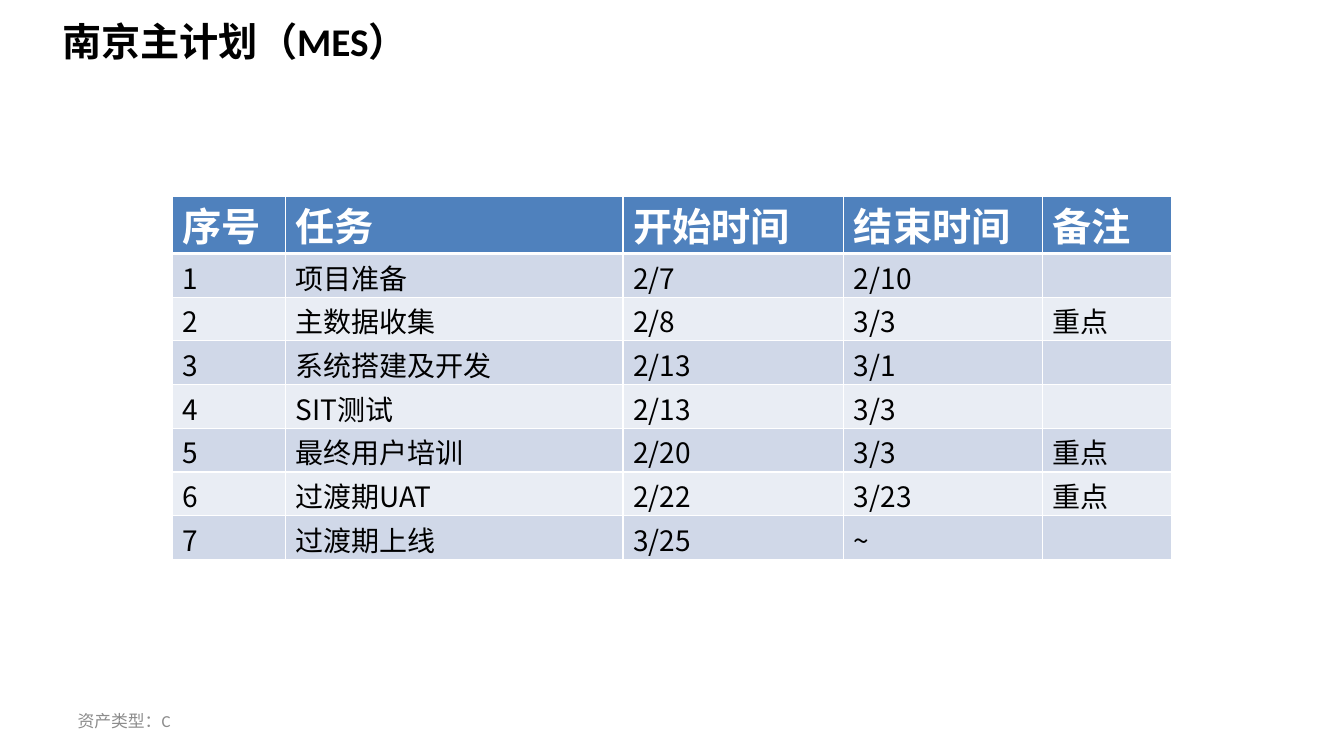
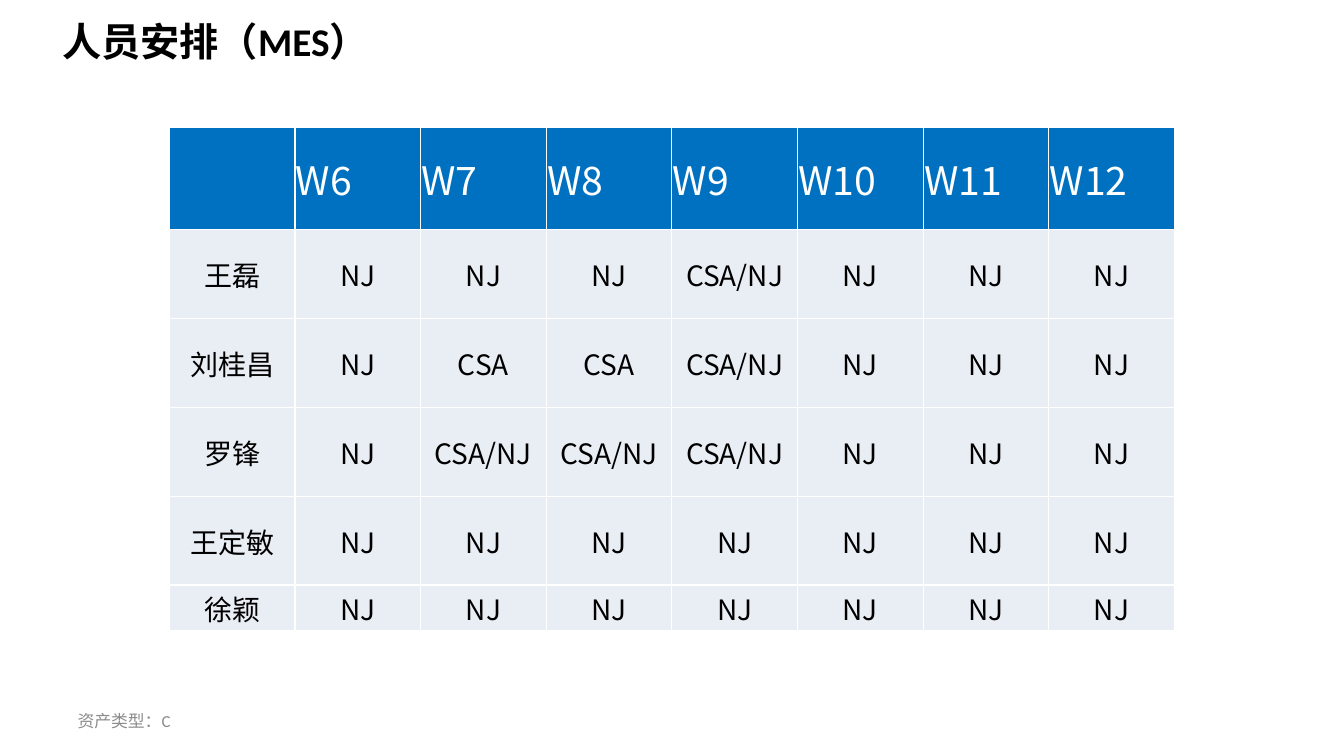
from dataclasses import dataclass

from lxml.etree import SubElement
from pptx import Presentation
from pptx.dml.color import RGBColor
from pptx.enum.text import MSO_ANCHOR as Anchor, MSO_AUTO_SIZE as AutoSize, PP_ALIGN as Align
from pptx.oxml.ns import qn
from pptx.util import Inches, Pt

WIDTH, HEIGHT = Inches(13.33), Inches(7.5)
TITLE_FONT, TABLE_FONT = "Calibri", "Noto Sans CJK SC"
BLACK, WHITE, GREY = "000000", "FFFFFF", "8C8C8C"
STEEL, BLUE = "4F81BD", "0070C0"
DARK_BAND, LIGHT_BAND = "D0D8E8", "E9EDF4"


@dataclass
class RowStyle:
    """Look of one kind of table row; insets are left, top, right, bottom in inches."""
    bands: tuple
    size: int
    ink: str
    insets: tuple
    bold: bool = False
    align: Align = Align.LEFT
    anchor: Anchor = Anchor.MIDDLE
    rule: float = 1


PLAN_HEAD = RowStyle((STEEL,), 28, WHITE, (0.1, 0, 0.1, 0), bold=True, anchor=Anchor.TOP, rule=3)
PLAN_BODY = RowStyle((DARK_BAND, LIGHT_BAND), 20, BLACK, (0.1, 0.03, 0.1, 0))
STAFF_HEAD = RowStyle((BLUE,), 28, WHITE, (0.01, 0.01, 0.01, 0))
STAFF_BODY = RowStyle((LIGHT_BAND,), 20, BLACK, (0.01, 0.01, 0.01, 0), align=Align.CENTER)

PLAN = [
    ("序号", "任务", "开始时间", "结束时间", "备注"),
    ("1", "项目准备", "2/7", "2/10", ""),
    ("2", "主数据收集", "2/8", "3/3", "重点"),
    ("3", "系统搭建及开发", "2/13", "3/1", ""),
    ("4", "SIT测试", "2/13", "3/3", ""),
    ("5", "最终用户培训", "2/20", "3/3", "重点"),
    ("6", "过渡期UAT", "2/22", "3/23", "重点"),
    ("7", "过渡期上线", "3/25", "~", ""),
]
WEEKS = range(6, 13)
AWAY = {
    "王磊": {9: "CSA/NJ"},
    "刘桂昌": {7: "CSA", 8: "CSA", 9: "CSA/NJ"},
    "罗锋": {7: "CSA/NJ", 8: "CSA/NJ", 9: "CSA/NJ"},
    "王定敏": {},
    "徐颖": {},
}


def across(percent):
    """Return a percentage of the slide's width."""
    return int(WIDTH * percent / 100)


def down(percent):
    """Return a percentage of the slide's height."""
    return int(HEIGHT * percent / 100)


def color(hex_code):
    """Turn a hex string into a colour."""
    return RGBColor.from_string(hex_code)


def set_font(paragraph, name, size, ink, bold=False):
    """Set the font of a whole paragraph."""
    font = paragraph.font
    font.name, font.size, font.bold = name, Pt(size), bold
    font.color.rgb = color(ink)


def add_label(slide, text, box, size, ink, bold=False, anchor=Anchor.TOP, fit=AutoSize.NONE):
    """Add a line of text in a box given in percentages of the slide."""
    left, top, width, height = box
    frame = slide.shapes.add_textbox(across(left), down(top), across(width), down(height)).text_frame
    frame.word_wrap, frame.auto_size, frame.vertical_anchor = True, fit, anchor
    frame.text = text
    set_font(frame.paragraphs[0], TITLE_FONT, size, ink, bold)


def add_page(deck, title):
    """Add a blank slide with the shared title and footer."""
    slide = deck.slides.add_slide(deck.slide_layouts[6])
    add_label(slide, title, (3.9, 1.6, 74.87, 7.6), 28, BLACK, bold=True, fit=AutoSize.SHAPE_TO_FIT_TEXT)
    add_label(slide, "资产类型：C", (5.03, 92.67, 23.33, 5.33), 12, GREY, anchor=Anchor.MIDDLE)
    return slide


def add_borders(cell, top, bottom):
    """Draw white borders round a cell, with top and bottom widths in points."""
    properties = cell._tc.get_or_add_tcPr()
    for side, width in (("L", 1), ("R", 1), ("T", top), ("B", bottom)):
        border = SubElement(properties, qn(f"a:ln{side}"), w=str(Pt(width)))
        SubElement(SubElement(border, qn("a:solidFill")), qn("a:srgbClr"), val=WHITE)


def fill_cell(cell, text, style, band, top_rule):
    """Write and style one table cell."""
    add_borders(cell, top_rule, style.rule)
    cell.fill.solid()
    cell.fill.fore_color.rgb = color(band)
    cell.margin_left, cell.margin_top, cell.margin_right, cell.margin_bottom = map(Inches, style.insets)
    cell.vertical_anchor = style.anchor
    cell.text = text
    paragraph = cell.text_frame.paragraphs[0]
    paragraph.alignment = style.align
    set_font(paragraph, TABLE_FONT, style.size, style.ink, style.bold)
    for run in paragraph.runs:
        SubElement(run._r.get_or_add_rPr(), qn("a:ea"), typeface=TABLE_FONT)


def add_grid(slide, rows, left, top, widths, heights, head, body):
    """Add a table whose place, columns and rows are percentages of the slide."""
    table = slide.shapes.add_table(
        len(rows), len(widths), across(left), down(top), across(sum(widths)), down(sum(heights))
    ).table
    table.first_row = table.horz_banding = False
    for column, width in zip(table.columns, widths):
        column.width = across(width)
    for index, (texts, height) in enumerate(zip(rows, heights)):
        table.rows[index].height = down(height)
        style = body if index else head
        band = style.bands[(index - 1) % len(style.bands)]
        top_rule = head.rule if index == 1 else 1
        for position, text in enumerate(texts):
            fill_cell(table.cell(index, position), text, style, band, top_rule)


def staff_rows():
    """List the week headings and where each person works."""
    people = [[name] + [places.get(week, "NJ") for week in WEEKS] for name, places in AWAY.items()]
    return [[""] + [f"W{week}" for week in WEEKS]] + people


def main():
    """Build and save the deck."""
    deck = Presentation()
    deck.slide_width, deck.slide_height = WIDTH, HEIGHT
    add_grid(add_page(deck, "南京主计划（MES）"), PLAN, 12.83, 26,
             [8.4, 25.13, 16.43, 14.78, 9.6], [7.53] + [5.78] * 7, PLAN_HEAD, PLAN_BODY)
    add_grid(add_page(deck, "人员安排（MES）"), staff_rows(), 12.6, 16.8,
             [9.35] * 8, [13.6] + [11.75] * 4 + [6], STAFF_HEAD, STAFF_BODY)
    deck.save("out.pptx")


if __name__ == "__main__":
    main()
